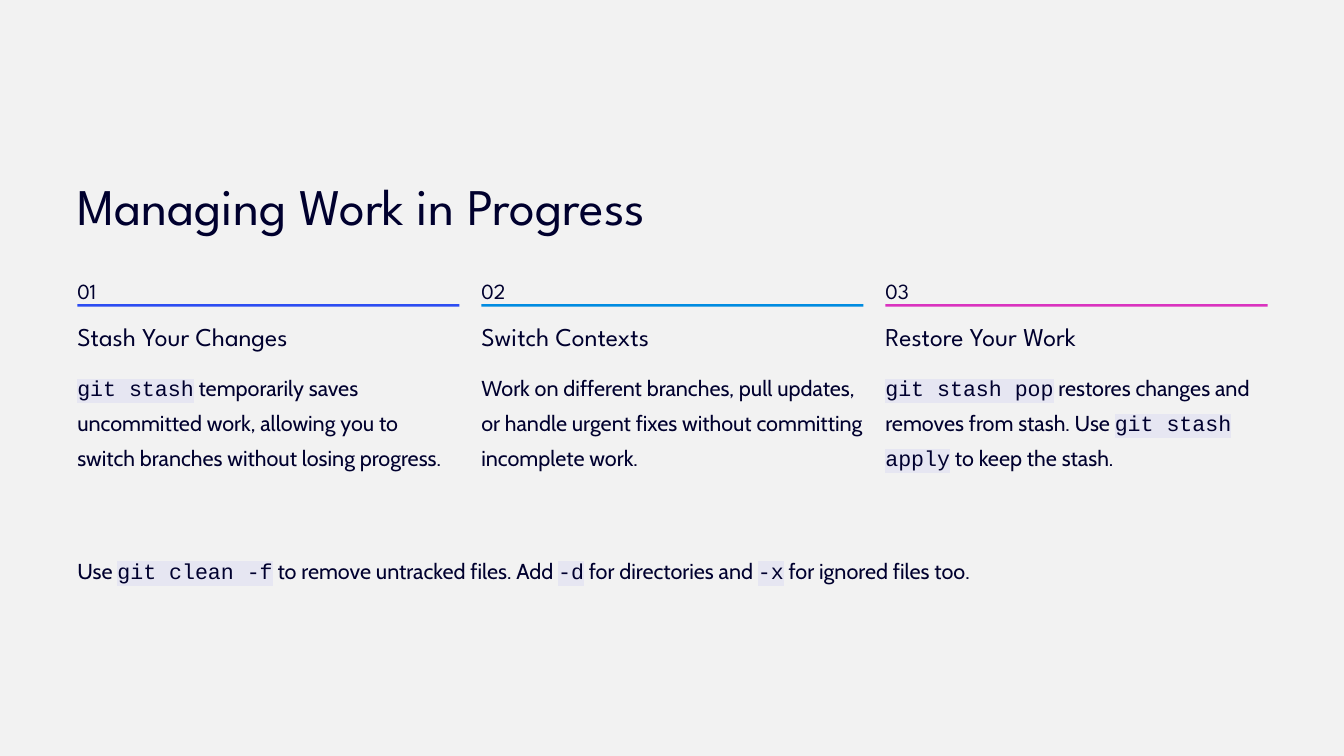
"""Build the slide on managing work in progress with git."""
from dataclasses import dataclass

from lxml.etree import SubElement
from pptx import Presentation
from pptx.dml.color import RGBColor
from pptx.enum.shapes import MSO_SHAPE
from pptx.enum.text import MSO_ANCHOR, MSO_AUTO_SIZE, PP_ALIGN
from pptx.oxml.ns import qn
from pptx.shapes.autoshape import Shape
from pptx.slide import Slide
from pptx.text.text import _Run
from pptx.util import Inches, Pt


@dataclass(frozen=True)
class Style:
    font: str
    size: float
    leading: float


@dataclass(frozen=True)
class Theme:
    background: str = "F2F2F2"
    ink: str = "00002E"
    code_fill: str = "E6E6F2"
    code_font: str = "Courier New"
    title: Style = Style("League Spartan", 44, 55)
    number: Style = Style("League Spartan", 18.5, 30)
    heading: Style = Style("League Spartan", 22, 27.5)
    body: Style = Style("Cabin", 18.5, 30)


@dataclass(frozen=True)
class Step:
    heading: str
    body: str
    color: str


THEME = Theme()
LEFT, COLUMN_WIDTH, COLUMN_PITCH = 0.92, 4.55, 4.81
CONTENT_WIDTH = 14.17
FRAME_FORMAT = {
    "margin_left": 0, "margin_top": 0, "margin_right": 0, "margin_bottom": 0,
    "vertical_anchor": MSO_ANCHOR.TOP, "auto_size": MSO_AUTO_SIZE.NONE,
}
TITLE = "Managing Work in Progress"
STEPS = [
    Step("Stash Your Changes",
         "`git stash` temporarily saves uncommitted work, allowing you to "
         "switch branches without losing progress.", "2D4DF2"),
    Step("Switch Contexts",
         "Work on different branches, pull updates, or handle urgent fixes "
         "without committing incomplete work.", "018CE1"),
    Step("Restore Your Work",
         "`git stash pop` restores changes and removes from stash. "
         "Use `git stash apply` to keep the stash.", "DA33BF"),
]
FOOTER = ("Use `git clean -f` to remove untracked files. Add `-d` for "
          "directories and `-x` for ignored files too.")


def highlight(r: _Run, color: str) -> None:
    """Put a highlight behind a run whose colour is already set."""
    fill = r.font._element.find(qn("a:solidFill"))
    mark = SubElement(r.font._element, qn("a:highlight"))
    SubElement(mark, qn("a:srgbClr"), val=color)
    fill.addnext(mark)


def write(sp: Shape, text: str, style: Style, wrap: bool = True) -> None:
    """Fill a shape with one paragraph, setting backticked parts as code."""
    tf = sp.text_frame
    for name, value in {**FRAME_FORMAT, "word_wrap": wrap}.items():
        setattr(tf, name, value)
    p = tf.paragraphs[0]
    paragraph_format = {"alignment": PP_ALIGN.LEFT, "space_before": Pt(0),
                        "line_spacing": Pt(style.leading)}
    for name, value in paragraph_format.items():
        setattr(p, name, value)
    for i, part in enumerate(text.split("`")):
        if not part:
            continue
        is_code = i % 2 == 1
        r = p.add_run()
        r.text = part
        r.font.color.rgb = RGBColor.from_string(THEME.ink)
        font_format = {"name": THEME.code_font if is_code else style.font,
                       "size": Pt(style.size)}
        for name, value in font_format.items():
            setattr(r.font, name, value)
        if is_code:
            highlight(r, THEME.code_fill)


def add_text(s: Slide, text: str, style: Style, left: float, top: float,
             width: float, height: float, wrap: bool = True) -> None:
    """Add a text box at a place given in inches."""
    sp = s.shapes.add_textbox(Inches(left), Inches(top),
                              Inches(width), Inches(height))
    write(sp, text, style, wrap)


def add_title(s: Slide, text: str) -> None:
    """Place and fill the title placeholder."""
    sp = s.shapes.title
    place = {"left": LEFT, "top": 2.04, "width": 7.8, "height": 0.77}
    for name, value in place.items():
        setattr(sp, name, Inches(value))
    write(sp, text, THEME.title)


def add_step(s: Slide, index: int, step: Step) -> None:
    """Draw one numbered column with its rule, heading and body."""
    left = LEFT + index * COLUMN_PITCH
    add_text(s, f"{index + 1:02d}", THEME.number, left, 3.2, 0.26, 0.33, wrap=False)
    rule = s.shapes.add_shape(MSO_SHAPE.RECTANGLE, Inches(left), Inches(3.62),
                              Inches(COLUMN_WIDTH), Inches(0.03))
    rule.shadow.inherit = False
    rule.fill.solid()
    rule.fill.fore_color.rgb = RGBColor.from_string(step.color)
    rule.line.fill.background()
    add_text(s, step.heading, THEME.heading, left, 3.81, 3.08, 0.38)
    add_text(s, step.body, THEME.body, left, 4.36, COLUMN_WIDTH, 1.27)


def main() -> None:
    """Build and save the slide."""
    prs = Presentation()
    prs.slide_width, prs.slide_height = Inches(16), Inches(9)
    s = prs.slides.add_slide(prs.slide_layouts[5])
    s.background.fill.solid()
    s.background.fill.fore_color.rgb = RGBColor.from_string(THEME.background)
    add_title(s, TITLE)
    for index, step in enumerate(STEPS):
        add_step(s, index, step)
    add_text(s, FOOTER, THEME.body, LEFT, 6.53, CONTENT_WIDTH, 0.43)
    prs.save("out.pptx")


if __name__ == "__main__":
    main()
